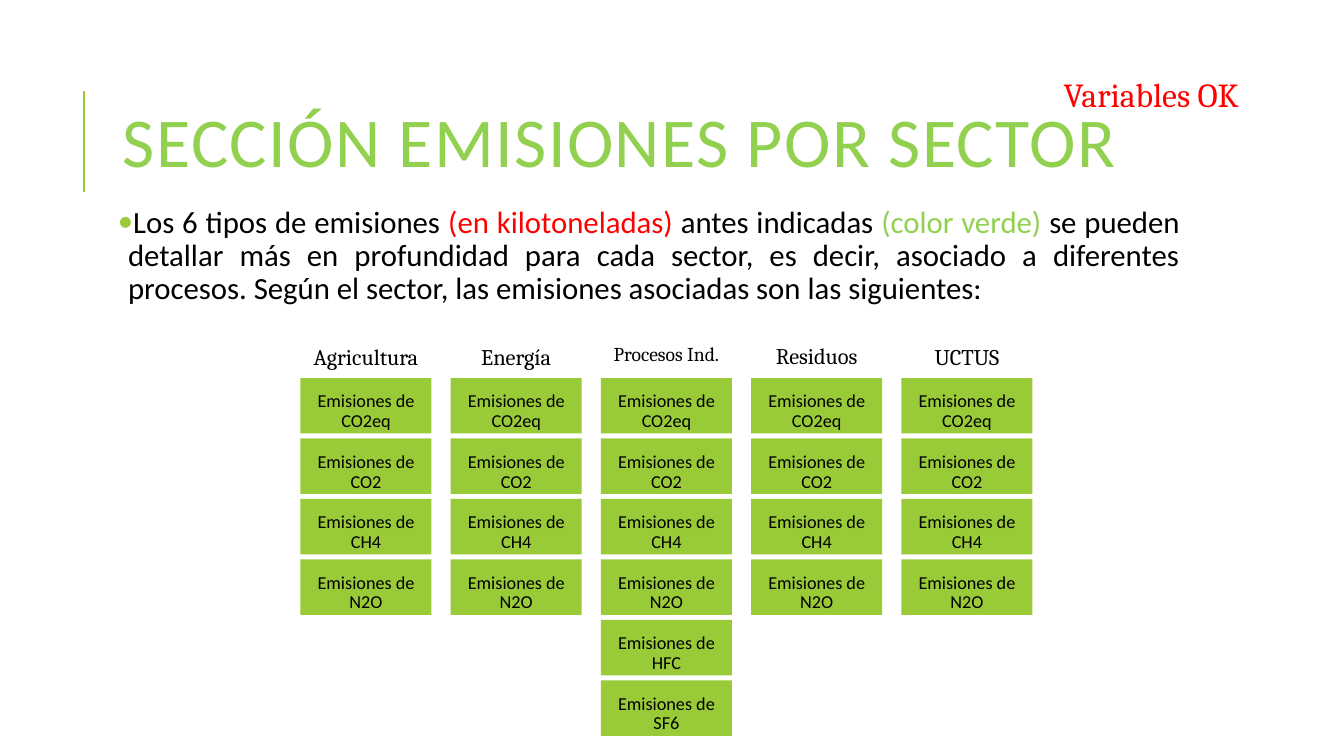
from lxml.etree import SubElement
from pptx import Presentation
from pptx.dml.color import RGBColor
from pptx.enum.shapes import MSO_CONNECTOR, MSO_SHAPE
from pptx.enum.text import MSO_ANCHOR, PP_ALIGN
from pptx.oxml.ns import qn
from pptx.util import Inches, Pt

GREEN, LIME, RED, BLACK = "99CB38", "92D050", "FF0000", "000000"
TITLE = "SECCIÓN EMISIONES POR SECTOR"
STATUS = "Variables OK"
INTRO = [
    ("Los 6 tipos de emisiones ", BLACK),
    ("(en kilotoneladas) ", RED),
    ("antes indicadas ", BLACK),
    ("(color verde) ", LIME),
    ("se pueden detallar más en profundidad para cada sector, es decir, asociado a "
     "diferentes procesos. Según el sector, las emisiones asociadas son las siguientes:", BLACK),
]
COMMON_GASES = ["CO2eq", "CO2", "CH4", "N2O"]
SECTORS = [
    ("Agricultura", 16, 3.36, COMMON_GASES),
    ("Energía", 16, 3.36, COMMON_GASES),
    ("Procesos Ind.", 14, 3.34, COMMON_GASES + ["HFC", "SF6"]),
    ("Residuos", 16, 3.35, COMMON_GASES),
    ("UCTUS", 16, 3.36, COMMON_GASES),
]
GRID_LEFT, GRID_TOP = 2.98, 3.75
COLUMN_STEP, ROW_STEP = 1.49, 0.6
CELL_WIDTH, CELL_HEIGHT = 1.3, 0.55


def color(value):
    return RGBColor.from_string(value)


def style(font, name, size, value):
    font.name, font.size = name, Pt(size)
    font.color.rgb = color(value)


def set_margins(frame, left, top, right, bottom):
    frame.margin_left, frame.margin_top = Inches(left), Inches(top)
    frame.margin_right, frame.margin_bottom = Inches(right), Inches(bottom)


def add_text(page, area, text, name, size, value, align=PP_ALIGN.LEFT):
    box = page.shapes.add_textbox(*(Inches(length) for length in area))
    frame = box.text_frame
    frame.word_wrap = True
    frame.text = text
    para = frame.paragraphs[0]
    para.alignment = align
    for span in para.runs:
        style(span.font, name, size, value)
    return frame


def add_title(page):
    rule = page.shapes.add_connector(
        MSO_CONNECTOR.STRAIGHT, Inches(0.83), Inches(1.9), Inches(0.83), Inches(0.9))
    rule.line.color.rgb = color(GREEN)
    rule.line.width = Pt(1.5)
    SubElement(rule.element.spPr, qn("a:effectLst"))
    frame = add_text(page, (1.12, 0.64, 10.63, 1.64), TITLE, "Calibri", 50, LIME)
    frame.vertical_anchor = MSO_ANCHOR.MIDDLE
    para = frame.paragraphs[0]
    para.line_spacing = 0.8
    para.runs[0].font.element.set("spc", "100") if hasattr(para.runs[0].font, "element") \
        else para.runs[0]._r.get_or_add_rPr().set("spc", "100")


def add_intro(page):
    frame = add_text(page, (1.12, 2, 10.63, 1.2), "", "Calibri", 22, BLACK)
    set_margins(frame, 0.05, 0.05, 0.05, 0.05)
    para = frame.paragraphs[0]
    para.alignment = PP_ALIGN.JUSTIFY
    para.line_spacing = 0.9
    para.space_after = Pt(2)
    properties = para._p.get_or_add_pPr()
    properties.set("marL", str(Inches(0.1)))
    properties.set("indent", str(-Inches(0.1)))
    bullet_color = SubElement(properties, qn("a:buClr"))
    SubElement(bullet_color, qn("a:srgbClr"), val=GREEN)
    SubElement(properties, qn("a:buFont"), typeface="Calibri")
    SubElement(properties, qn("a:buChar"), char="•")
    for text, value in INTRO:
        span = para.add_run()
        span.text = text
        style(span.font, "Calibri", 22, value)


def add_gas(page, left, top, gas):
    cell = page.shapes.add_shape(
        MSO_SHAPE.RECTANGLE, Inches(left), Inches(top), Inches(CELL_WIDTH), Inches(CELL_HEIGHT))
    cell.shadow.inherit = False
    cell.fill.solid()
    cell.fill.fore_color.rgb = color(GREEN)
    cell.line.fill.background()
    frame = cell.text_frame
    frame.word_wrap = True
    set_margins(frame, 0.08, 0.12, 0.08, 0)
    frame.text = f"Emisiones de {gas}"
    para = frame.paragraphs[0]
    para.alignment = PP_ALIGN.CENTER
    para.line_spacing = 0.9
    style(para.runs[0].font, "Calibri", 13, BLACK)


def add_sectors(page):
    for column, (sector, size, label_top, gases) in enumerate(SECTORS):
        left = GRID_LEFT + column * COLUMN_STEP
        add_text(page, (left, label_top, CELL_WIDTH, 0.37), sector,
                 "Cambria", size, BLACK, PP_ALIGN.CENTER)
        for row, gas in enumerate(gases):
            add_gas(page, left, GRID_TOP + row * ROW_STEP, gas)


def main():
    """Build the slide of emissions by sector."""
    deck = Presentation()
    deck.slide_width, deck.slide_height = Inches(13.33), Inches(7.5)
    page = deck.slides.add_slide(deck.slide_layouts[6])
    add_title(page)
    add_intro(page)
    add_sectors(page)
    add_text(page, (10.45, 0.68, 2.28, 0.5), STATUS, "Cambria", 24, RED)
    deck.save("out.pptx")


if __name__ == "__main__":
    main()
